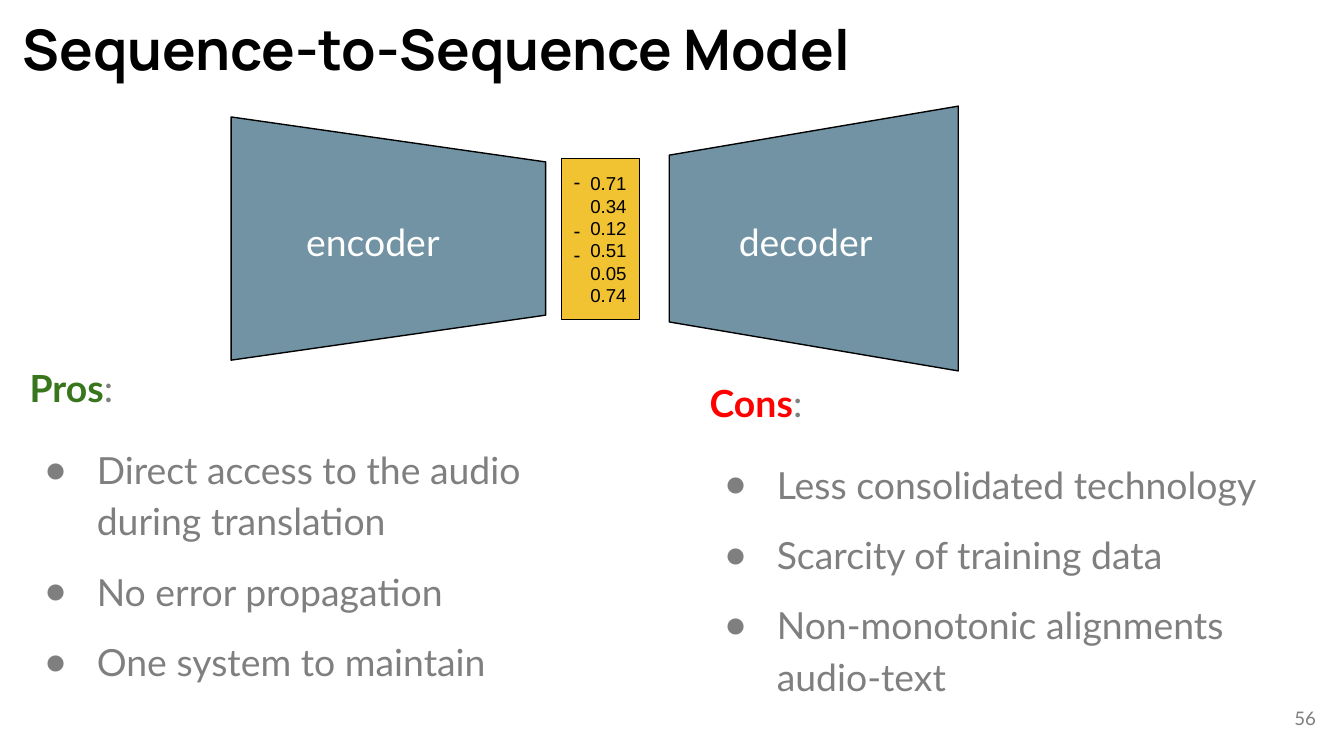
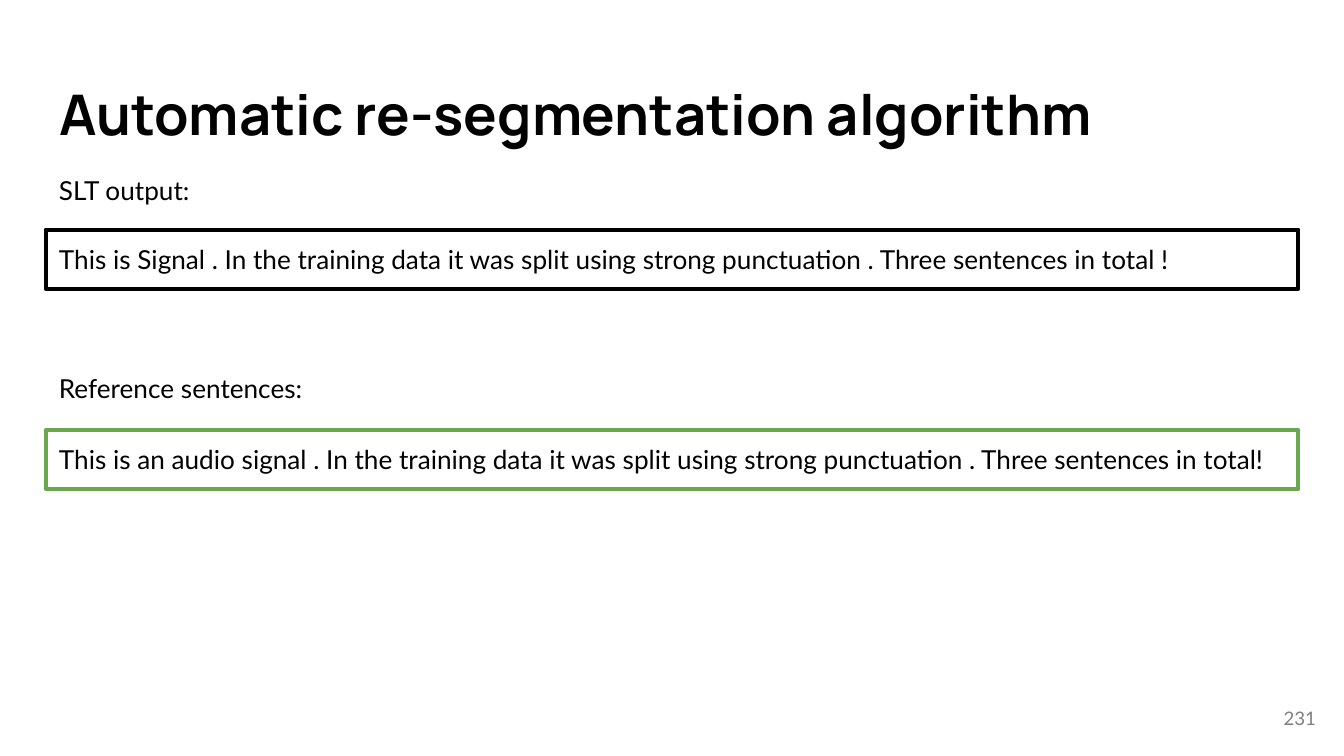
from dataclasses import dataclass

from lxml.etree import SubElement
from pptx import Presentation
from pptx.dml.color import RGBColor
from pptx.enum.shapes import MSO_SHAPE as Preset
from pptx.enum.text import MSO_ANCHOR as Anchor, MSO_AUTO_SIZE as AutoSize, PP_ALIGN as Align
from pptx.oxml.ns import qn
from pptx.util import Inches, Pt


@dataclass(frozen=True)
class Theme:
    """Colours, fonts and type sizes shared by the slides."""
    black: str = "000000"
    white: str = "FFFFFF"
    grey: str = "7F7F7F"
    blue: str = "7193A4"
    yellow: str = "F1C232"
    green: str = "38761D"
    red: str = "FF0000"
    border_green: str = "6AA84F"
    title_font: str = "Manrope"
    body_font: str = "Lato"
    number_font: str = "Arial"
    title_size: int = 30
    body_size: int = 20
    text_size: int = 14
    sign_size: int = 11
    small_size: int = 10
    line_spacing: float = 1.15


THEME = Theme()


def place(shape, box):
    """Move a shape to a box of left, top, width and height in inches."""
    shape.left, shape.top, shape.width, shape.height = map(Inches, box)


def style_run(run, size, color, font=THEME.body_font, bold=False):
    """Give a run its font, size, weight and colour."""
    run.font.name = font
    run.font.size = Pt(size)
    run.font.bold = bold
    run.font.color.rgb = RGBColor.from_string(color)


def set_frame(shape, anchor=Anchor.TOP):
    """Set the margins, wrapping and anchor of a shape's text."""
    frame = shape.text_frame
    frame.word_wrap = True
    frame.auto_size = AutoSize.NONE
    frame.vertical_anchor = anchor
    frame.margin_left = frame.margin_right = Inches(0.1)
    frame.margin_top = frame.margin_bottom = Inches(0.1)
    return frame


def write(shape, text, size, color, font=THEME.body_font, bold=False,
          align=Align.LEFT, anchor=Anchor.TOP):
    """Write text, one paragraph a line, in a single style."""
    frame = set_frame(shape, anchor)
    frame.text = text
    for paragraph in frame.paragraphs:
        paragraph.alignment = align
        for run in paragraph.runs:
            style_run(run, size, color, font, bold)
    return frame


def add_text(shapes, box, text, size, color, **style):
    """Add a text box with styled text."""
    return write(shapes.add_textbox(*map(Inches, box)), text, size, color, **style)


def add_box(shapes, preset, box, fill, line, weight):
    """Add an outlined preset shape, filled or clear."""
    shape = shapes.add_shape(preset, *map(Inches, box))
    shape.shadow.inherit = False
    if fill:
        shape.fill.solid()
        shape.fill.fore_color.rgb = RGBColor.from_string(fill)
    else:
        shape.fill.background()
    shape.line.color.rgb = RGBColor.from_string(line)
    shape.line.width = Pt(weight)
    return shape


def add_base_slide(presentation, layout, title, title_box, number):
    """Add a slide with its title and page number."""
    slide = presentation.slides.add_slide(presentation.slide_layouts.get_by_name(layout))
    place(slide.shapes.title, title_box)
    write(slide.shapes.title, title, THEME.title_size, THEME.black,
          font=THEME.title_font, bold=True)
    add_text(slide.shapes, (9.29, 5.13, 0.6, 0.43), number, THEME.small_size, THEME.grey,
             align=Align.RIGHT, anchor=Anchor.MIDDLE)
    return slide


def add_coder(shapes, label, box, label_box, rotation):
    """Add a trapezoid turned on its side, with a label over it."""
    left, top, width, height = box
    shift = (width - height) / 2
    shape = add_box(shapes, Preset.TRAPEZOID, (left + shift, top - shift, height, width),
                    THEME.blue, THEME.black, 0.75)
    shape.adjustments[0] = 0.185
    shape.rotation = rotation
    frame = add_text(shapes, label_box, label, THEME.body_size, THEME.white,
                     align=Align.CENTER, anchor=Anchor.MIDDLE)
    frame.paragraphs[0].line_spacing = THEME.line_spacing


def add_vector(shapes, box, values):
    """Add the vector box, with minus signs set apart from the values."""
    left, top, _, height = box
    shape = add_box(shapes, Preset.RECTANGLE, box, THEME.yellow, THEME.black, 0.75)
    write(shape, "\n".join(values), THEME.small_size, THEME.black,
          font=THEME.number_font, align=Align.RIGHT)
    signs = add_text(shapes, (left - 0.01, top - 0.02, 0.33, height + 0.04), "-\n-\n-",
                     THEME.sign_size, THEME.black, font=THEME.number_font)
    signs.paragraphs[1].space_before = Pt(THEME.sign_size * THEME.line_spacing)


def add_diagram(slide, left, top):
    """Draw the encoder, vector and decoder as one group."""
    shapes = slide.shapes.add_group_shape().shapes
    label_top = top + 0.78
    add_coder(shapes, "encoder", (left, top + 0.08, 2.34, 1.81),
              (left + 0.14, label_top, 1.83, 0.4), 90)
    add_vector(shapes, (left + 2.46, top + 0.39, 0.58, 1.2),
               ("0.71", "0.34", "0.12", "0.51", "0.05", "0.74"))
    add_coder(shapes, "decoder", (left + 3.26, top, 2.15, 1.97),
              (left + 3.36, label_top, 1.83, 0.4), 270)


def set_bullet(paragraph, bullet):
    """Give a paragraph a hanging grey bullet, or none."""
    properties = paragraph._p.get_or_add_pPr()
    properties.set("marL", str(Inches(0.5) if bullet else 0))
    properties.set("indent", str(Inches(-0.39) if bullet else 0))
    if bullet:
        color = SubElement(properties, qn("a:buClr"))
        SubElement(color, qn("a:srgbClr")).set("val", THEME.grey)
        SubElement(properties, qn("a:buChar")).set("char", "●")
    else:
        SubElement(properties, qn("a:buNone"))


def fill_list(placeholder, box, heading, color, items):
    """Fill a body placeholder with a coloured heading and bullets."""
    place(placeholder, box)
    frame = set_frame(placeholder)
    frame.text = "\n".join((heading, *items))
    frame.paragraphs[0].add_run().text = ":"
    for index, paragraph in enumerate(frame.paragraphs):
        set_bullet(paragraph, index > 0)
        paragraph.alignment = Align.LEFT
        paragraph.line_spacing = THEME.line_spacing
        paragraph.space_before = Pt((0, 16)[index] if index < 2 else 10)
        paragraph.space_after = Pt(0)
        for run in paragraph.runs:
            style_run(run, THEME.body_size, THEME.grey)
    style_run(frame.paragraphs[0].runs[0], THEME.body_size, color, bold=True)


def build_model_slide(presentation):
    """Build the model diagram with its pros and cons."""
    slide = add_base_slide(presentation, "Two Content", "Sequence-to-Sequence Model",
                           (0.07, 0.01, 10.59, 0.91), "56")
    add_diagram(slide, 1.72, 0.79)
    fill_list(slide.placeholders[1], (0.12, 2.57, 4.33, 2.86), "Pros", THEME.green,
              ("Direct access to the audio during translation", "No error propagation",
               "One system to maintain"))
    fill_list(slide.placeholders[2], (5.18, 2.68, 4.69, 2.86), "Cons", THEME.red,
              ("Less consolidated technology", "Scarcity of training data",
               "Non-monotonic alignments audio-text"))


def add_sentence_panel(slide, left, top, drop, label, sentence, color):
    """Add a label with an outlined sentence below it."""
    shape = add_box(slide.shapes, Preset.RECTANGLE, (left, top + drop, 9.32, 0.44),
                    None, color, 2.25)
    write(shape, sentence, THEME.text_size, THEME.black)
    add_text(slide.shapes, (left, top, 2.16, 0.67), label, THEME.text_size, THEME.black)


def build_segmentation_slide(presentation):
    """Build the comparison of output and reference sentences."""
    left = 0.34
    slide = add_base_slide(presentation, "Title Only", "Automatic re-segmentation algorithm",
                           (left, 0.49, 9.8, 0.68), "231")
    shared = ". In the training data it was split using strong punctuation . Three sentences in total"
    add_sentence_panel(slide, left, 1.2, 0.51, "SLT output:",
                       f"This is Signal {shared} !", THEME.black)
    add_sentence_panel(slide, left, 2.67, 0.53, "Reference sentences:",
                       f"This is an audio signal {shared}!", THEME.border_green)


def main():
    """Build and save the presentation."""
    presentation = Presentation()
    presentation.slide_width = Inches(10)
    presentation.slide_height = Inches(10 * 9 / 16)
    build_model_slide(presentation)
    build_segmentation_slide(presentation)
    presentation.save("out.pptx")


if __name__ == "__main__":
    main()
